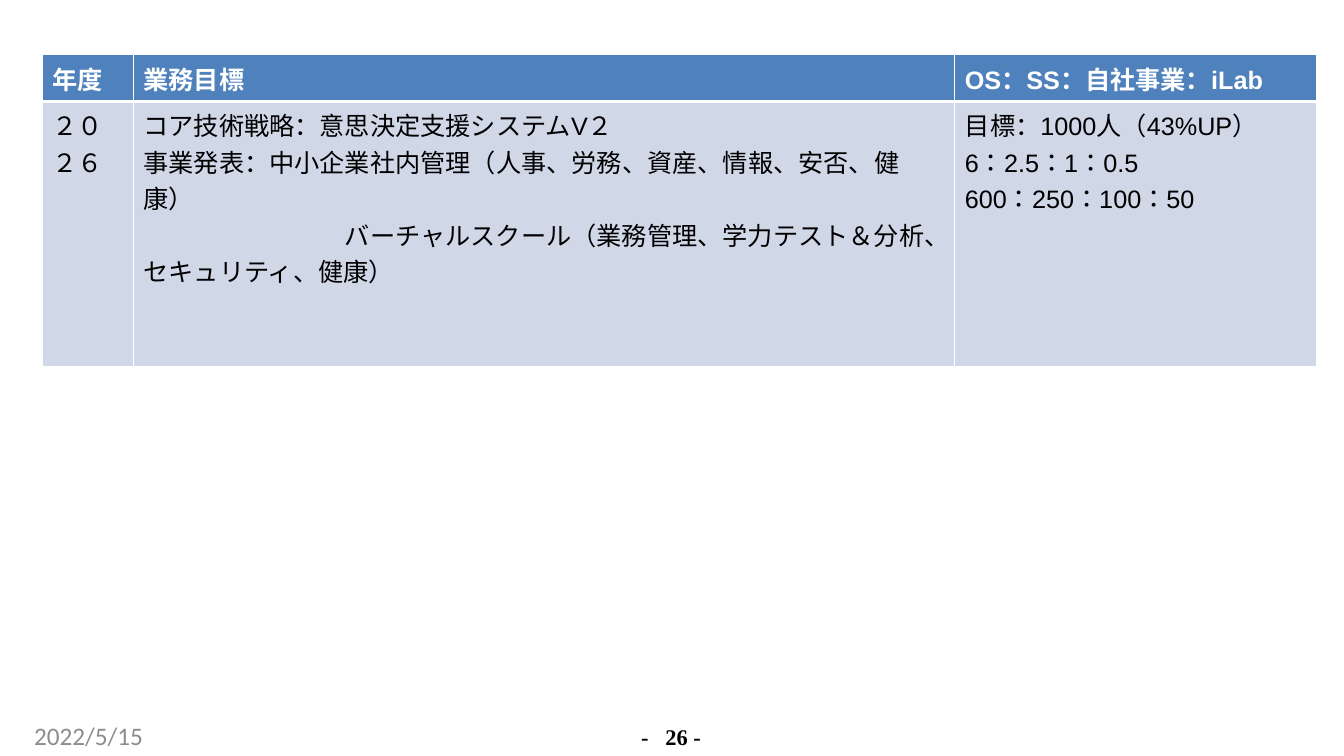
from lxml.etree import SubElement
from pptx import Presentation
from pptx.dml.color import RGBColor
from pptx.enum.text import PP_ALIGN
from pptx.oxml.ns import qn
from pptx.util import Cm, Pt

# Content
HEADER = ["年度", "業務目標", "OS：SS：自社事業：iLab"]
GOALS = [
    ["２０２６"],
    ["コア技術戦略：意思決定支援システムV２",
     "事業発表：中小企業社内管理（人事、労務、資産、情報、安否、健康）",
     "バーチャルスクール（業務管理、学力テスト＆分析、セキュリティ、健康）"],
    ["目標：1000人（43%UP）", "6：2.5：1：0.5", "600：250：100：50"],
]
INDENTED = {GOALS[1][2]: Cm(5.08)}
DATE = "2022/5/15"
PAGE = "-\t26 -"

COLORS = {"head": "4F81BD", "body": "D0D8E8", "white": "FFFFFF",
          "black": "000000", "gray": "8C8C8C"}
COL_WIDTHS = [2.29, 20.7, 9.12]
ROW_HEIGHTS = [1.14, 6.68]


def rgb(name):
    return RGBColor.from_string(COLORS[name])


def add_run(p, text, font, size, color, bold=False):
    r = p.add_run()
    r.text = text
    r.font.name, r.font.size, r.font.bold = font, Pt(size), bold
    r.font.color.rgb = rgb(color)
    return r


def set_borders(cell, **widths):
    tc_pr = cell._tc.get_or_add_tcPr()
    for side in "LRTB":
        ln = SubElement(tc_pr, qn("a:ln" + side), w=str(Pt(widths.get(side, 1))))
        fill = SubElement(ln, qn("a:solidFill"))
        SubElement(fill, qn("a:srgbClr"), val=COLORS["white"])


def fill_cell(cell, lines, fill, color, bold, **widths):
    set_borders(cell, **widths)
    cell.fill.solid()
    cell.fill.fore_color.rgb = rgb(fill)
    tf = cell.text_frame
    for i, line in enumerate(lines):
        p = tf.paragraphs[0] if i == 0 else tf.add_paragraph()
        if line in INDENTED:
            p._p.get_or_add_pPr().set("indent", str(INDENTED[line]))
        r = add_run(p, line, "Arial", 18, color, bold)
        SubElement(r.font._element, qn("a:ea"), typeface="Noto Sans CJK JP")


def add_footer(s, left, top, width, height):
    tf = s.shapes.add_textbox(Cm(left), Cm(top), Cm(width), Cm(height)).text_frame
    tf.word_wrap = True
    tf.margin_left = tf.margin_right = tf.margin_top = tf.margin_bottom = 0
    return tf.paragraphs[0]


prs = Presentation()
prs.slide_width, prs.slide_height = Cm(33.87), Cm(19.05)
s = prs.slides.add_slide(prs.slide_layouts[6])

# Goals table
table = s.shapes.add_table(2, 3, Cm(1.07), Cm(1.38), Cm(sum(COL_WIDTHS)),
                           Cm(sum(ROW_HEIGHTS))).table
for col, width in zip(table.columns, COL_WIDTHS):
    col.width = Cm(width)
for row, height in zip(table.rows, ROW_HEIGHTS):
    row.height = Cm(height)
for c, (title, lines) in enumerate(zip(HEADER, GOALS)):
    fill_cell(table.cell(0, c), [title], "head", "white", True, B=3)
    fill_cell(table.cell(1, c), lines, "body", "black", False, T=3)

# Page number
p = add_footer(s, 15.82, 18.26, 2.18, 0.64)
tabs = SubElement(p._p.get_or_add_pPr(), qn("a:tabLst"))
SubElement(tabs, qn("a:tab"), pos=str(Cm(0.61)), algn="l")
p.alignment = PP_ALIGN.CENTER
p.line_spacing = Pt(18.4)
add_run(p, PAGE, "Times New Roman", 16, "black", True)

# Date
p = add_footer(s, 0.86, 18.14, 7.8, 0.76)
add_run(p, DATE, "Calibri", 18, "gray")

prs.save("out.pptx")
